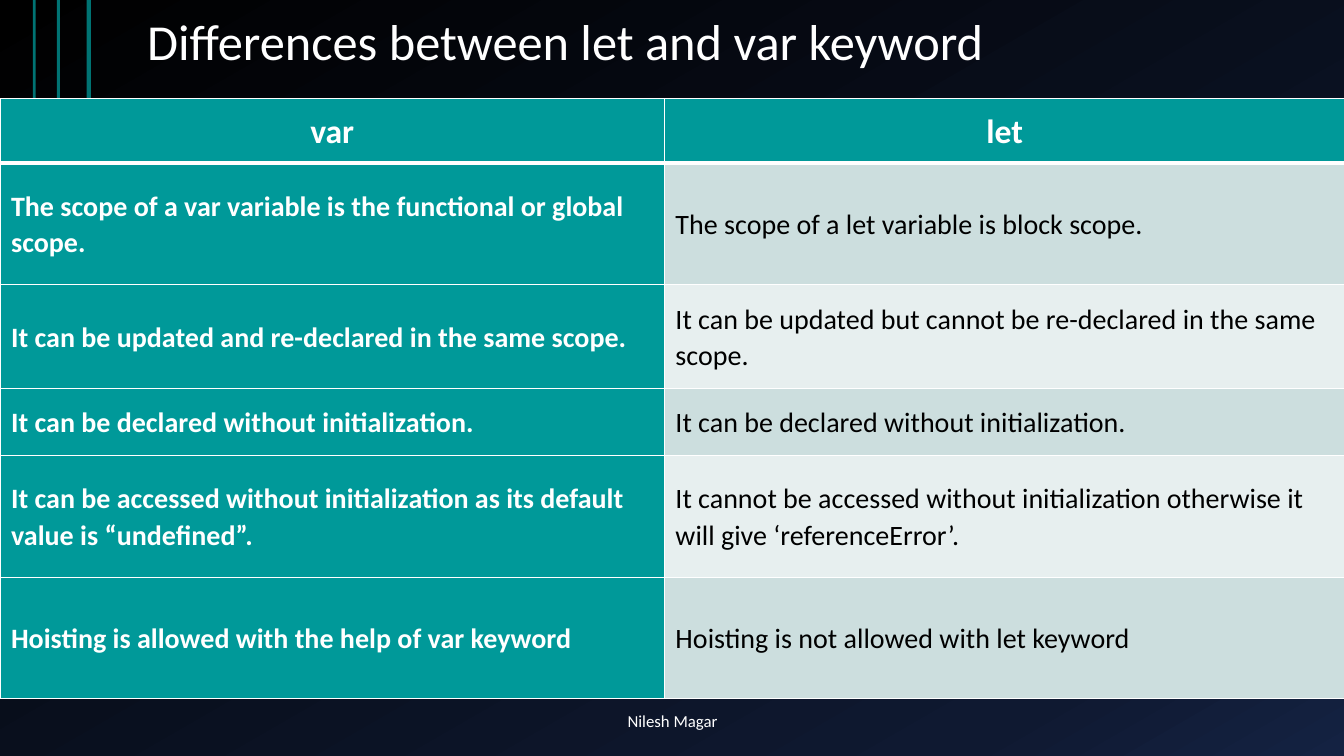
"""Build a slide that compares the var and let keywords in a table."""
import copy
import dataclasses

import lxml.etree
import pptx
import pptx.dml.color
import pptx.enum.text
import pptx.oxml.ns
import pptx.util

Inches = pptx.util.Inches
Pt = pptx.util.Pt
Anchor = pptx.enum.text.MSO_ANCHOR
Align = pptx.enum.text.PP_ALIGN
qn = pptx.oxml.ns.qn

WHITE, BLACK, TEAL = "FFFFFF", "000000", "009999"
BANDS = ("E7EFEF", "CCDEDE")
BACKGROUND_STOPS = ((0, "000000"), (0.85, "0F1931"), (1, "142242"))


@dataclasses.dataclass
class Stripe:
    points: tuple
    width: float


@dataclasses.dataclass
class Row:
    height: float
    texts: tuple


STRIPES = (
    Stripe(((-0.01, 5.72), (0.88, 4.35), (0.88, 0)), 3),
    Stripe(((-0.02, 4.99), (0.58, 4.08), (0.58, 0)), 2.25),
    Stripe(((-0.01, 4.34), (0.34, 3.81), (0.34, 0)), 2),
)
COLUMN_WIDTHS = (6.59, 6.75)
ROWS = (
    Row(0.56, ("var", "let")),
    Row(1.21, ("The scope of a var variable is the functional or global scope.",
               "The scope of a let variable is block scope.")),
    Row(0.9, ("It can be updated and re-declared in the same scope.",
              "It can be updated but cannot be re-declared in the same scope.")),
    Row(0.63, ("It can be declared without initialization.",
               "It can be declared without initialization.")),
    Row(1.21, ("It can be accessed without initialization as its default value is “undefined”.",
               "It cannot be accessed without initialization otherwise it will give ‘referenceError’.")),
    Row(1.2, ("Hoisting is allowed with the help of var keyword",
              "Hoisting is not allowed with let keyword")),
)


def rgb(value: str) -> pptx.dml.color.RGBColor:
    """Turn a hex string into a colour."""
    return pptx.dml.color.RGBColor.from_string(value)


def write(frame, text: str, size: float, color: str = WHITE, bold: bool = False,
          align=Align.LEFT, spacing: float = 1.0) -> None:
    """Put one formatted paragraph into a text frame."""
    frame.text = text
    para = frame.paragraphs[0]
    para.alignment, para.line_spacing = align, spacing
    para.font.name, para.font.size, para.font.bold = "Calibri", Pt(size), bold
    para.font.color.rgb = rgb(color)


def set_frame(frame, anchor) -> None:
    """Give a text frame its margins, wrapping and anchor."""
    frame.word_wrap = True
    frame.auto_size = pptx.enum.text.MSO_AUTO_SIZE.NONE
    frame.vertical_anchor = anchor
    frame.margin_left = frame.margin_right = Inches(0.13)
    frame.margin_top = frame.margin_bottom = Inches(0.07)


def paint_background(page) -> None:
    """Fill the page with the three-stop gradient."""
    fill = page.background.fill
    fill.gradient()
    fill.gradient_angle = 300
    stop_list = page.background._cSld.find(".//" + qn("a:gsLst"))
    stop_list.append(copy.deepcopy(stop_list[0]))
    for stop, (position, color) in zip(fill.gradient_stops, BACKGROUND_STOPS):
        stop.position = position
        stop.color.rgb = rgb(color)


def draw_stripe(page, stripe: Stripe) -> None:
    """Draw one bent teal line at the left edge."""
    start, *others = [(Inches(x), Inches(y)) for x, y in stripe.points]
    builder = page.shapes.build_freeform(*start)
    builder.add_line_segments(others, close=False)
    shape = builder.convert_to_shape()
    shape.shadow.inherit = False
    shape.fill.background()
    shape.line.color.rgb = rgb("007373")
    shape.line.width = Pt(stripe.width)


def set_borders(cell, top: float, bottom: float) -> None:
    """Draw white borders around a cell."""
    properties = cell._tc.get_or_add_tcPr()
    for side, width in (("L", 1), ("R", 1), ("T", top), ("B", bottom)):
        line = lxml.etree.SubElement(properties, qn(f"a:ln{side}"), w=str(Pt(width)))
        solid = lxml.etree.SubElement(line, qn("a:solidFill"))
        lxml.etree.SubElement(solid, qn("a:srgbClr"), val=WHITE)


def fill_cell(cell, text: str, row: int, column: int) -> None:
    """Format one cell by its place in the table."""
    header = row == 0
    teal = header or column == 0
    set_borders(cell, 3 if row == 1 else 1, 3 if header else 1)
    cell.fill.solid()
    cell.fill.fore_color.rgb = rgb(TEAL if teal else BANDS[row % 2])
    cell.vertical_anchor = Anchor.BOTTOM if header else Anchor.MIDDLE
    cell.margin_left = cell.margin_right = Inches(0.05 if header and column == 0 else 0.11)
    cell.margin_top = cell.margin_bottom = Inches(0.1 if header else 0.15)
    write(cell.text_frame, text, 24 if header else 20, WHITE if teal else BLACK, teal,
          Align.CENTER if header else Align.LEFT, 1.07)


def draw_table(page) -> None:
    """Draw the comparison table."""
    table = page.shapes.add_table(
        len(ROWS), len(COLUMN_WIDTHS), Inches(0), Inches(0.98),
        Inches(sum(COLUMN_WIDTHS)), Inches(sum(row.height for row in ROWS))).table
    for column, width in zip(table.columns, COLUMN_WIDTHS):
        column.width = Inches(width)
    for row_index, row in enumerate(ROWS):
        table.rows[row_index].height = Inches(row.height)
        for column_index, text in enumerate(row.texts):
            fill_cell(table.cell(row_index, column_index), text, row_index, column_index)


def main() -> None:
    """Build and save the deck."""
    deck = pptx.Presentation()
    deck.slide_width, deck.slide_height = Inches(13.33), Inches(7.5)
    page = deck.slides.add_slide(deck.slide_layouts[5])
    paint_background(page)
    for stripe in STRIPES:
        draw_stripe(page, stripe)

    title = page.shapes.title
    title.left, title.top = Inches(1.33), Inches(0.08)
    title.width, title.height = Inches(11.33), Inches(0.7)
    set_frame(title.text_frame, Anchor.BOTTOM)
    write(title.text_frame, "Differences between let and var keyword", 36, spacing=0.9)

    draw_table(page)

    author = page.shapes.add_textbox(Inches(3.78), Inches(6.95), Inches(5.78), Inches(0.4))
    set_frame(author.text_frame, Anchor.MIDDLE)
    write(author.text_frame, "Nilesh Magar", 12, align=Align.CENTER)
    deck.save("out.pptx")


if __name__ == "__main__":
    main()
